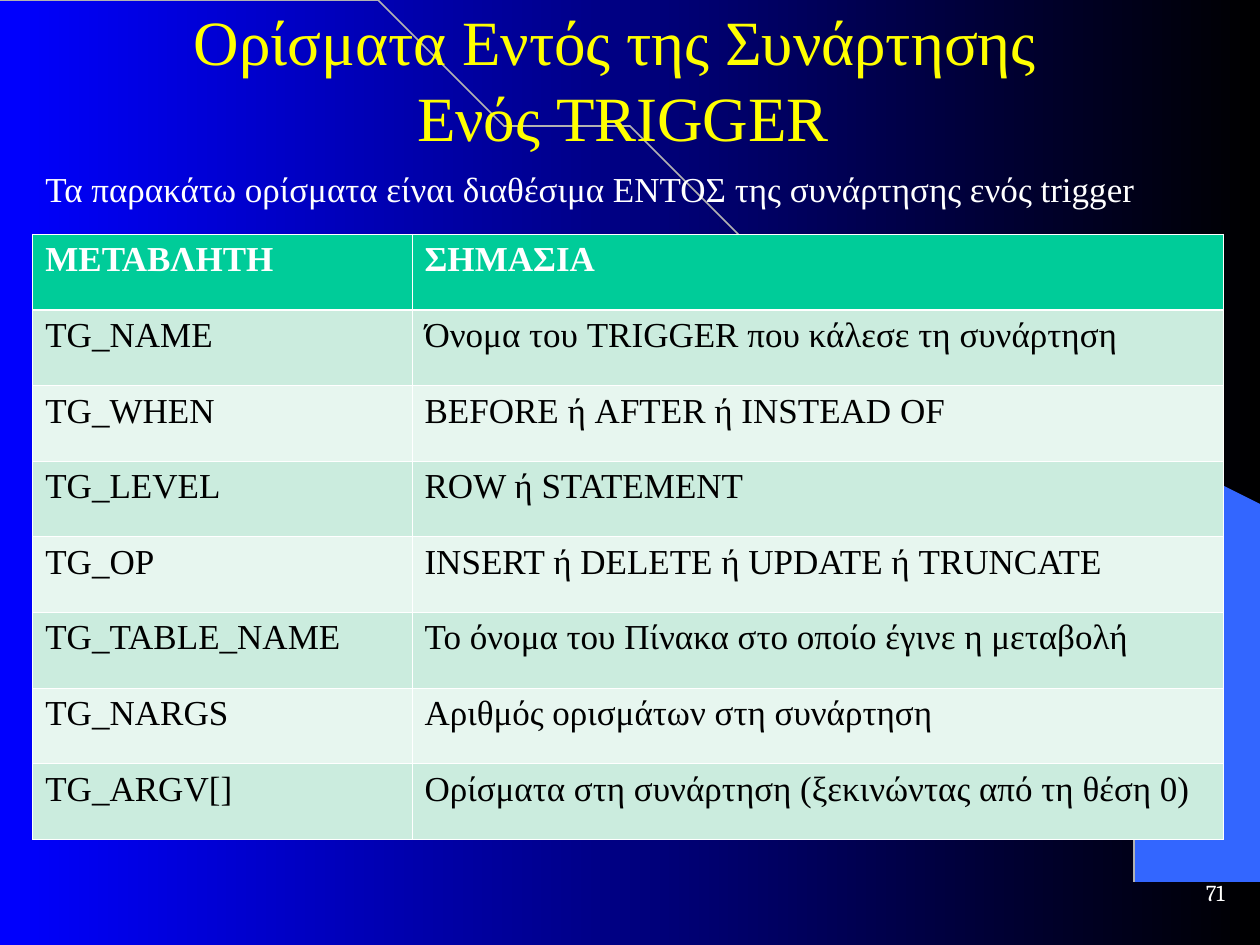
from math import cos, pi, sin

from lxml import etree
from pptx import Presentation
from pptx.dml.color import RGBColor
from pptx.enum.text import MSO_ANCHOR, PP_ALIGN
from pptx.oxml.ns import qn
from pptx.util import Inches, Pt

LEFT, CENTER, RIGHT = PP_ALIGN.LEFT, PP_ALIGN.CENTER, PP_ALIGN.RIGHT
TOP, MIDDLE = MSO_ANCHOR.TOP, MSO_ANCHOR.MIDDLE
SERIF = "Times New Roman"
COLORS = {
    "blue": "0000FF", "black": "000000", "wedge": "3366FF", "arc": "B2B2B2",
    "title": "FFFF00", "white": "FFFFFF", "head": "00CC99",
    "odd": "CBECDE", "even": "E7F6EF",
}
WEDGE = [
    (9.2, 7.48), (9.99, 7.49), (9.99, 4.23), (5.89, 1.73), (6.24, 1.99),
    (6.53, 2.22), (6.85, 2.5), (7.16, 2.8), (7.62, 3.3), (8.03, 3.84),
    (8.32, 4.31), (8.58, 4.79), (8.78, 5.28), (8.93, 5.72), (9.03, 6.09),
    (9.13, 6.56), (9.17, 6.96),
]
ROWS = [
    ("ΜΕΤΑΒΛΗΤΗ", "ΣΗΜΑΣΙΑ"),
    ("TG_NAME", "Όνομα του TRIGGER που κάλεσε τη συνάρτηση"),
    ("TG_WHEN", "BEFORE ή AFTER ή INSTEAD OF"),
    ("TG_LEVEL", "ROW ή STATEMENT"),
    ("TG_OP", "INSERT ή DELETE ή UPDATE ή TRUNCATE"),
    ("TG_TABLE_NAME", "Το όνομα του Πίνακα στο οποίο έγινε η μεταβολή"),
    ("TG_NARGS", "Αριθμός ορισμάτων στη συνάρτηση"),
    ("TG_ARGV[]", "Ορίσματα στη συνάρτηση (ξεκινώντας από τη θέση 0)"),
]


def color(name):
    """Return a named colour."""
    return RGBColor.from_string(COLORS[name])


def style(para, size, tint, face=SERIF, bold=False):
    """Set the font of a paragraph."""
    font = para.font
    font.name, font.size, font.bold = face, Pt(size), bold
    font.color.rgb = color(tint)


def add_text(slide, box, text, size, tint, face=SERIF, align=LEFT,
             anchor=TOP, wrap=True):
    """Add a text box."""
    frame = slide.shapes.add_textbox(*map(Inches, box)).text_frame
    frame.word_wrap, frame.vertical_anchor = wrap, anchor
    frame.margin_left = frame.margin_right = Inches(0.09)
    frame.margin_top = frame.margin_bottom = Inches(0.05)
    para = frame.paragraphs[0]
    para.text, para.alignment = text, align
    style(para, size, tint, face)


def add_path(slide, points, close):
    """Add a freeform through points given in inches."""
    first, *rest = points
    pen = slide.shapes.build_freeform(*first, scale=Inches(1))
    pen.add_line_segments(rest, close=close)
    shape = pen.convert_to_shape()
    shape.shadow.inherit = False
    return shape


def add_backdrop(slide):
    """Paint the gradient, the wedge and the quarter arc."""
    fill = slide.background.fill
    fill.gradient()
    fill.gradient_angle = 0
    for stop, name, place in zip(fill.gradient_stops, ("blue", "black"), (0, 1)):
        stop.color.rgb, stop.position = color(name), place
    wedge = add_path(slide, WEDGE, True)
    wedge.fill.solid()
    wedge.fill.fore_color.rgb = color("wedge")
    wedge.line.fill.background()
    steps = 60
    turns = [pi / 2 * i / steps for i in range(steps + 1)]
    arc = add_path(slide, [(9.2 * sin(t), 7.49 * (1 - cos(t))) for t in turns], False)
    arc.fill.background()
    arc.line.color.rgb = color("arc")
    arc.line.width = Pt(1)


def set_edges(cell, widths):
    """Draw white borders: left, right, top, bottom."""
    props = cell._tc.get_or_add_tcPr()
    for i, (side, width) in enumerate(zip("LRTB", widths)):
        line = etree.Element(qn(f"a:ln{side}"), w=str(Pt(width)))
        fill = etree.SubElement(line, qn("a:solidFill"))
        etree.SubElement(fill, qn("a:srgbClr"), val=COLORS["white"])
        props.insert(i, line)


def add_grid(slide):
    """Add the table of variables."""
    box = map(Inches, (0.26, 1.86, 9.45, 4.8))
    table = slide.shapes.add_table(len(ROWS), 2, *box).table
    for col, width in zip(table.columns, (3.01, 6.44)):
        col.width = Inches(width)
    for r, texts in enumerate(ROWS):
        table.rows[r].height = Inches(0.6)
        band = "head" if r == 0 else "odd" if r % 2 else "even"
        top, bottom = (1.47 if r == 1 else 0.45), (1.47 if r == 0 else 0.45)
        for c, text in enumerate(texts):
            cell = table.cell(r, c)
            cell.text = text
            cell.fill.solid()
            cell.fill.fore_color.rgb = color(band)
            set_edges(cell, (0.45, 0.45, top, bottom))
            style(cell.text_frame.paragraphs[0], 20,
                  "black" if r else "white", bold=r == 0)


def main():
    """Build and save the slide."""
    deck = Presentation()
    deck.slide_width, deck.slide_height = Inches(10), Inches(7.5)
    slide = deck.slides.add_slide(deck.slide_layouts[6])
    add_backdrop(slide)
    add_text(slide, (9.25, 6.83, 0.56, 0.5), "71", 13, "white", "Cambria",
             RIGHT, MIDDLE, False)
    add_text(slide, (0.12, 0.09, 9.65, 1.06),
             "Ορίσματα Εντός της Συνάρτησης \vΕνός TRIGGER", 36, "title",
             align=CENTER, anchor=MIDDLE)
    add_text(slide, (0.27, 1.28, 9.29, 6.22),
             "Τα παρακάτω ορίσματα είναι διαθέσιμα ΕΝΤΟΣ της συνάρτησης ενός trigger",
             20, "white")
    add_grid(slide)
    deck.save("out.pptx")


if __name__ == "__main__":
    main()
